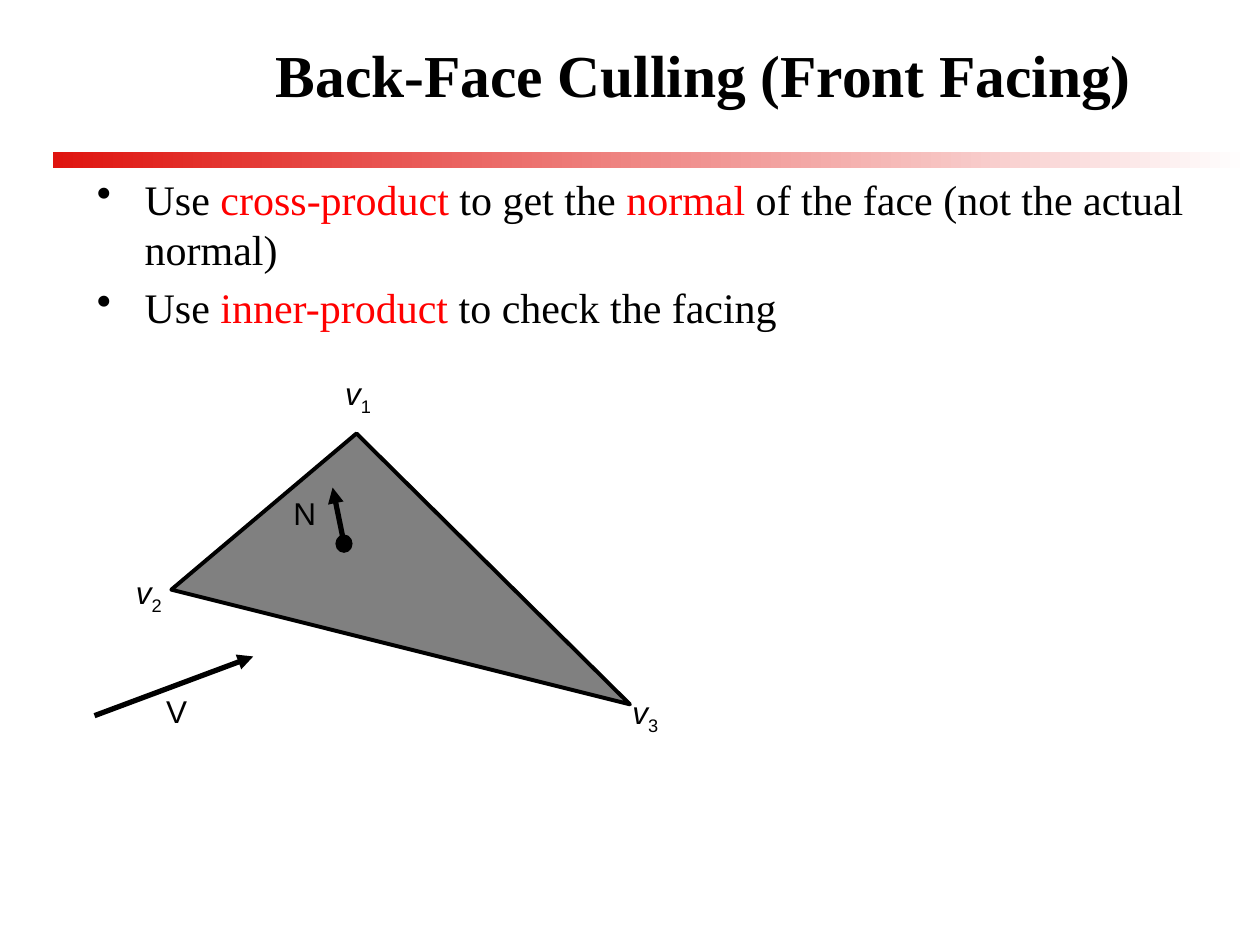
from dataclasses import dataclass
from typing import Any, NamedTuple

from lxml import etree
from pptx import Presentation
from pptx import util as u
from pptx.dml.color import RGBColor
from pptx.enum import shapes, text
from pptx.oxml import ns


@dataclass(frozen=True)
class Theme:
    ink: str = "000000"
    accent: str = "FF0000"
    face: str = "808080"
    bar_start: str = "DF140F"
    bar_end: str = "FFFFFF"
    serif: str = "Times New Roman"
    sans: str = "Arial"
    title: float = 34
    body: float = 24
    label: float = 18


class Label(NamedTuple):
    left: float
    top: float
    width: float
    name: str
    index: str = ""


class Arrow(NamedTuple):
    start: tuple[float, float]
    end: tuple[float, float]


THEME = Theme()
BAR_TOPS = (1.21, 1.25)
TRIANGLE = ((1.36, 4.68), (2.83, 3.44), (5, 5.59))
BULLETS = (
    (("Use ", False), ("cross-product", True), (" to get the ", False),
     ("normal", True), (" of the face (not the actual normal)", False)),
    (("Use ", False), ("inner-product", True), (" to check the facing", False)),
)
LABELS = (
    Label(2.64, 2.92, 0.46, "v", "1"),
    Label(0.98, 4.5, 0.46, "v", "2"),
    Label(4.92, 5.45, 0.46, "v", "3"),
    Label(2.23, 3.87, 0.44, "N"),
    Label(1.22, 5.44, 0.44, "V"),
)
ARROWS = (Arrow((2.72, 4.26), (2.64, 3.87)), Arrow((0.75, 5.68), (2.01, 5.21)))


def color(value: str) -> RGBColor:
    return RGBColor.from_string(value)


def add_span(para: Any, words: str, *, size: float, font: str, ink: str = THEME.ink,
             bold: bool = False, italic: bool = False, baseline: int = 0) -> None:
    span = para.add_run()
    span.text = words
    span.font.size = u.Pt(size)
    span.font.name = font
    span.font.bold = bold
    span.font.italic = italic
    span.font.color.rgb = color(ink)
    if baseline:
        span.font._element.set("baseline", str(baseline * 1000))


def add_box(slide: Any, left: float, top: float, width: float, height: float) -> Any:
    box = slide.shapes.add_textbox(*map(u.Inches, (left, top, width, height)))
    box.text_frame.word_wrap = True
    return box.text_frame


def add_bar(slide: Any, top: float) -> None:
    bar = slide.shapes.add_shape(shapes.MSO_SHAPE.RECTANGLE, u.Inches(0.42), u.Inches(top),
                                 u.Inches(9.5), u.Inches(0.08))
    bar.shadow.inherit = False
    bar.line.fill.background()
    bar.fill.gradient()
    bar.fill.gradient_angle = 0
    for stop, value in zip(bar.fill.gradient_stops, (THEME.bar_start, THEME.bar_end)):
        stop.color.rgb = color(value)


def add_title(slide: Any, words: str) -> None:
    frame = add_box(slide, 1.17, 0.17, 8.83, 0.83)
    frame.vertical_anchor = text.MSO_ANCHOR.MIDDLE
    para = frame.paragraphs[0]
    para.alignment = text.PP_ALIGN.CENTER
    add_span(para, words, size=THEME.title, font=THEME.serif, bold=True)


def add_bullets(slide: Any) -> None:
    frame = add_box(slide, 0.67, 1.33, 8.83, 4.75)
    for number, parts in enumerate(BULLETS):
        para = frame.add_paragraph() if number else frame.paragraphs[0]
        para.line_spacing = u.Pt(28.5)
        para.space_before = u.Pt(5 if number else 0)
        properties = para._p.get_or_add_pPr()
        properties.set("marL", str(u.Inches(0.38)))
        properties.set("indent", str(u.Inches(-0.38)))
        etree.SubElement(properties, ns.qn("a:buChar")).set("char", "•")
        for words, marked in parts:
            add_span(para, words, size=THEME.body, font=THEME.serif,
                     ink=THEME.accent if marked else THEME.ink)


def style_solid(shape: Any, fill: str, weight: float) -> None:
    shape.shadow.inherit = False
    shape.fill.solid()
    shape.fill.fore_color.rgb = color(fill)
    shape.line.color.rgb = color(THEME.ink)
    shape.line.width = u.Pt(weight)


def add_triangle(slide: Any) -> None:
    first, *others = [(u.Inches(x), u.Inches(y)) for x, y in TRIANGLE]
    outline = slide.shapes.build_freeform(*first)
    outline.add_line_segments(others, close=True)
    style_solid(outline.convert_to_shape(), THEME.face, 2.25)


def add_dot(slide: Any) -> None:
    dot = slide.shapes.add_shape(shapes.MSO_SHAPE.OVAL, u.Inches(2.67), u.Inches(4.25),
                                 u.Inches(0.12), u.Inches(0.13))
    style_solid(dot, THEME.ink, 1.13)


def add_label(slide: Any, label: Label) -> None:
    frame = add_box(slide, label.left, label.top, label.width, 0.5)
    frame.word_wrap = False
    frame.auto_size = text.MSO_AUTO_SIZE.SHAPE_TO_FIT_TEXT
    para = frame.paragraphs[0]
    add_span(para, label.name, size=THEME.label, font=THEME.sans, italic=bool(label.index))
    if label.index:
        add_span(para, label.index, size=THEME.label, font=THEME.sans, baseline=-25)


def add_arrow(slide: Any, arrow: Arrow) -> None:
    line = slide.shapes.add_connector(shapes.MSO_CONNECTOR.STRAIGHT,
                                      *map(u.Inches, arrow.start + arrow.end))
    line.line.color.rgb = color(THEME.ink)
    line.line.width = u.Pt(3)
    etree.SubElement(line.line._get_or_add_ln(), ns.qn("a:tailEnd")).set("type", "triangle")
    etree.SubElement(line._element.spPr, ns.qn("a:effectLst"))


def main() -> None:
    deck = Presentation()
    deck.slide_width, deck.slide_height = u.Inches(10), u.Inches(7.5)
    slide = deck.slides.add_slide(deck.slide_layouts[6])
    for top in BAR_TOPS:
        add_bar(slide, top)
    add_title(slide, "Back-Face Culling (Front Facing)")
    add_bullets(slide)
    add_triangle(slide)
    add_dot(slide)
    for label in LABELS:
        add_label(slide, label)
    for arrow in ARROWS:
        add_arrow(slide, arrow)
    deck.save("out.pptx")


if __name__ == "__main__":
    main()
